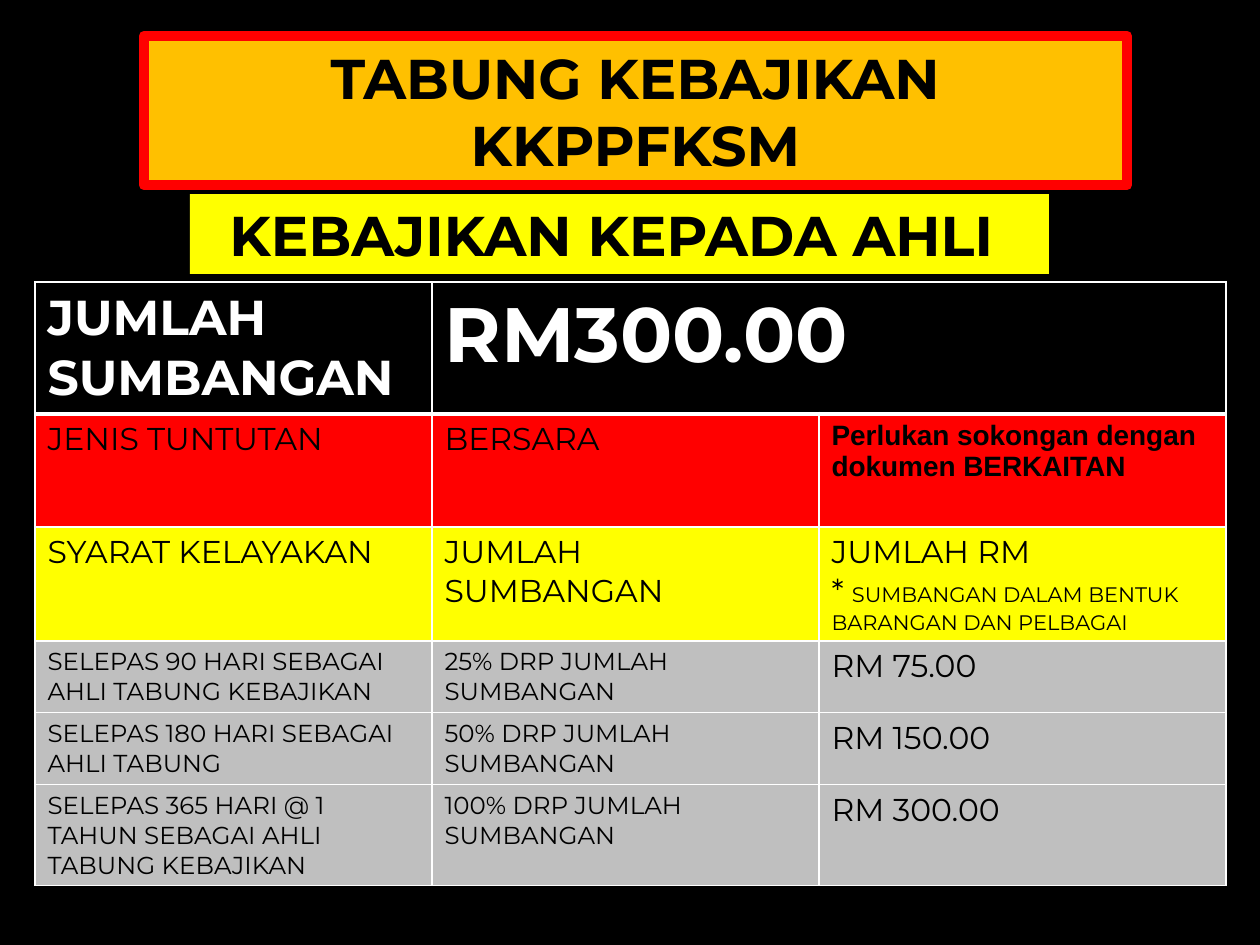
from lxml.etree import SubElement
from pptx import Presentation
from pptx.dml.color import RGBColor
from pptx.enum.shapes import MSO_SHAPE as Shape
from pptx.enum.text import MSO_ANCHOR as Anchor, MSO_AUTO_SIZE as AutoSize, PP_ALIGN as Align
from pptx.oxml.ns import qn
from pptx.util import Pt

EMU_PER_PX = 914400 // 126
BLACK, WHITE, RED, YELLOW, ORANGE, GREY = "000000", "FFFFFF", "FF0000", "FFFF00", "FFC000", "BFBFBF"

TITLE = "TABUNG KEBAJIKAN KKPPFKSM"
SUBTITLE = "KEBAJIKAN KEPADA AHLI "
TITLE_BOX = (144, 36, 983, 149)
SUBTITLE_BOX = (190, 194, 859, 80)
TABLE_CORNER = (35, 282)
COLUMN_WIDTHS = [397, 387, 407]
HEADER = ["JUMLAH SUMBANGAN", "RM300.00"]
CLAIM = ["JENIS TUNTUTAN", "BERSARA", "Perlukan sokongan dengan dokumen BERKAITAN"]
CONDITION = ["SYARAT KELAYAKAN", "JUMLAH SUMBANGAN"]
AMOUNT = [[("JUMLAH RM", 18)], [("* ", 18), ("SUMBANGAN DALAM BENTUK BARANGAN DAN PELBAGAI", 12)]]
TIERS = [
    ("SELEPAS 90 HARI SEBAGAI AHLI TABUNG KEBAJIKAN", "25% DRP JUMLAH SUMBANGAN", "RM 75.00"),
    ("SELEPAS 180 HARI SEBAGAI AHLI TABUNG", "50% DRP JUMLAH SUMBANGAN", "RM 150.00"),
    ("SELEPAS 365 HARI @ 1 TAHUN SEBAGAI AHLI TABUNG KEBAJIKAN", "100% DRP JUMLAH SUMBANGAN", "RM 300.00"),
]
ROWS = [
    (132, BLACK, HEADER, [28, 44]),
    (113, RED, CLAIM, [18, 18, 16]),
    (114, YELLOW, CONDITION + [AMOUNT], [18, 18, 18]),
] + [(height, GREY, tier, [14, 14, 18]) for height, tier in zip([71, 72, 101], TIERS)]


def px(value):
    return value * EMU_PER_PX


def rgb(color):
    return RGBColor.from_string(color)


def paint(item, color):
    item.fill.solid()
    item.fill.fore_color.rgb = rgb(color)


def add_run(paragraph, text, size, color=BLACK, bold=False, font="Montserrat"):
    run = paragraph.add_run()
    run.text = text
    run.font.size = Pt(size)
    run.font.name = font
    run.font.bold = bold
    run.font.color.rgb = rgb(color)


def fill_banner(shape, box, text, color, wrap, inset):
    shape.left, shape.top, shape.width, shape.height = map(px, box)
    paint(shape, color)
    frame = shape.text_frame
    frame.word_wrap = wrap
    frame.auto_size = AutoSize.SHAPE_TO_FIT_TEXT
    frame.vertical_anchor = Anchor.MIDDLE
    frame.margin_left = frame.margin_right = px(inset)
    paragraph = frame.paragraphs[0]
    paragraph.alignment = Align.CENTER
    add_run(paragraph, text, 32, bold=True)


def add_borders(cell, bottom_width):
    properties = cell._tc.get_or_add_tcPr()
    for side, width in (("L", 1), ("R", 1), ("T", 1), ("B", bottom_width)):
        line = SubElement(properties, qn(f"a:ln{side}"), w=str(Pt(width)))
        SubElement(SubElement(line, qn("a:solidFill")), qn("a:srgbClr"), val=WHITE)


def add_benefit_table(slide):
    heights = [row[0] for row in ROWS]
    size = (sum(COLUMN_WIDTHS), sum(heights))
    frame = slide.shapes.add_table(len(ROWS), len(COLUMN_WIDTHS), *map(px, TABLE_CORNER + size))
    table = frame.table
    table.horz_banding = False
    for column, width in zip(table.columns, COLUMN_WIDTHS):
        column.width = px(width)
    table.cell(0, 1).merge(table.cell(0, 2))
    for row_index, (height, color, contents, sizes) in enumerate(ROWS):
        is_header = row_index == 0
        table.rows[row_index].height = px(height)
        for cell in table.rows[row_index].cells:
            add_borders(cell, 3 if is_header else 1)
            paint(cell, color)
        for column_index, (content, size) in enumerate(zip(contents, sizes)):
            text_frame = table.cell(row_index, column_index).text_frame
            paragraphs = [[(content, size)]] if isinstance(content, str) else content
            is_note = content == CLAIM[2]
            for index, runs in enumerate(paragraphs):
                paragraph = text_frame.add_paragraph() if index else text_frame.paragraphs[0]
                for text, run_size in runs:
                    add_run(paragraph, text, run_size, WHITE if is_header else BLACK,
                            is_header or is_note, "Arial" if is_note else "Montserrat")


def main():
    presentation = Presentation()
    presentation.slide_width, presentation.slide_height = px(1260), px(945)
    slide = presentation.slides.add_slide(presentation.slide_layouts[5])
    paint(slide.background, BLACK)

    title = slide.shapes.title
    fill_banner(title, TITLE_BOX, TITLE, ORANGE, True, 24)
    title.line.color.rgb = rgb(RED)
    title.line.width = Pt(6)

    add_benefit_table(slide)

    subtitle = slide.shapes.add_shape(Shape.RECTANGLE, *map(px, SUBTITLE_BOX))
    subtitle.shadow.inherit = False
    subtitle.line.fill.background()
    fill_banner(subtitle, SUBTITLE_BOX, SUBTITLE, YELLOW, False, 12)

    presentation.save("out.pptx")


if __name__ == "__main__":
    main()
